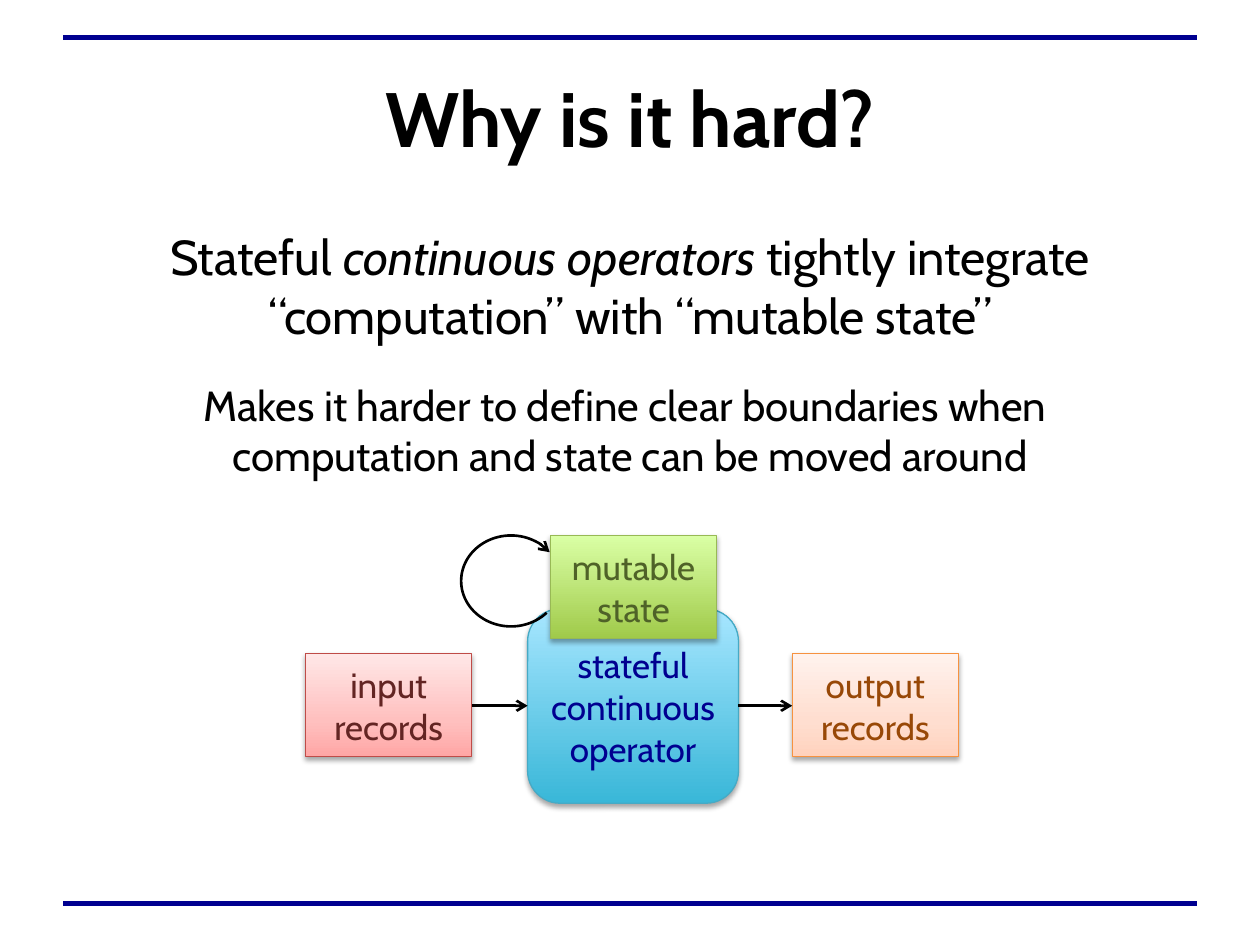
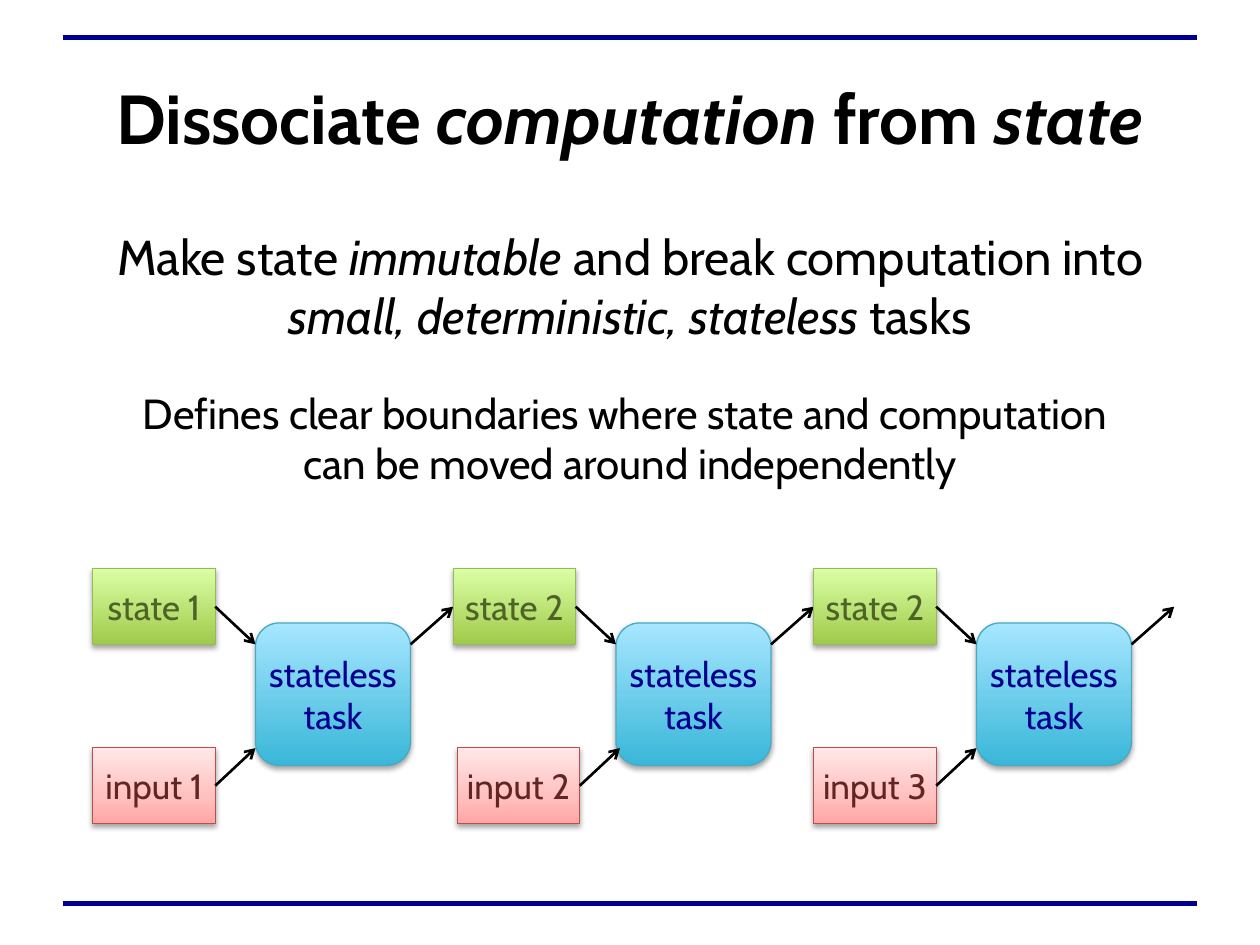
from copy import deepcopy

from lxml import etree
from pptx import Presentation
from pptx.dml.color import RGBColor
from pptx.enum.shapes import MSO_CONNECTOR, MSO_SHAPE
from pptx.enum.text import MSO_ANCHOR, PP_ALIGN
from pptx.oxml.ns import qn
from pptx.util import Pt

BLACK = RGBColor(0x00, 0x00, 0x00)
NAVY = RGBColor(0x00, 0x00, 0x90)
DARK_GREEN = RGBColor(0x4F, 0x62, 0x28)
DARK_RED = RGBColor(0x63, 0x25, 0x23)
BROWN = RGBColor(0x98, 0x48, 0x07)
BLUE_EDGE = RGBColor(0x46, 0xAA, 0xC5)
GREEN_EDGE = RGBColor(0x98, 0xB9, 0x55)
RED_EDGE = RGBColor(0xBF, 0x4C, 0x48)
ORANGE_EDGE = RGBColor(0xF6, 0x92, 0x40)

# Gradients run from bottom to top
BLUE_STOPS = [(0, RGBColor(0x39, 0xB7, 0xD8)), (1, RGBColor(0xA7, 0xE6, 0xFF))]
GREEN_STOPS = [(0, RGBColor(0xA0, 0xCA, 0x4A)), (1, RGBColor(0xDA, 0xFF, 0xA5))]
RED_STOPS = [(0, RGBColor(0xFF, 0xA6, 0xA5)), (0.35, RGBColor(0xFF, 0xC0, 0xBF)),
             (1, RGBColor(0xFF, 0xE7, 0xE7))]
ORANGE_STOPS = [(0, RGBColor(0xFF, 0xD2, 0xBD)), (0.35, RGBColor(0xFF, 0xDE, 0xD0)),
                (1, RGBColor(0xFF, 0xF2, 0xED))]

# Box kinds: shape, gradient, edge colour, text colour
OPERATOR = (MSO_SHAPE.ROUNDED_RECTANGLE, BLUE_STOPS, BLUE_EDGE, NAVY)
STATE = (MSO_SHAPE.RECTANGLE, GREEN_STOPS, GREEN_EDGE, DARK_GREEN)
INPUT = (MSO_SHAPE.RECTANGLE, RED_STOPS, RED_EDGE, DARK_RED)
OUTPUT = (MSO_SHAPE.RECTANGLE, ORANGE_STOPS, ORANGE_EDGE, BROWN)


class Deck:
    font = "Cabin"
    margin, content_width = 36, 648

    def __init__(self):
        self.prs = Presentation()
        self.prs.slide_width, self.prs.slide_height = Pt(720), Pt(540)

    def new_slide(self, title, title_size):
        self.s = self.prs.slides.add_slide(self.prs.slide_layouts[6])
        for y in (21.6, 516.24):
            self.line(self.margin, y, self.margin + self.content_width, y, NAVY, 3)
        tf = self.text_box(21.6, 90)
        tf.vertical_anchor = MSO_ANCHOR.MIDDLE
        self.paragraph(tf.paragraphs[0], title, title_size, bold=True)

    def text_box(self, y, h):
        sp = self.s.shapes.add_textbox(Pt(self.margin), Pt(y), Pt(self.content_width), Pt(h))
        sp.text_frame.word_wrap = True
        return sp.text_frame

    def paragraph(self, p, text, size, color=BLACK, bold=False):
        """Write one centred paragraph; *stars* enclose italics."""
        p.alignment = PP_ALIGN.CENTER
        p.font.name, p.font.size, p.font.bold = self.font, Pt(size), bold
        p.font.color.rgb = color
        for i, part in enumerate(text.split("*")):
            if part:
                r = p.add_run()
                r.text = part
                if i % 2:
                    r.font.italic = True

    def body(self, statement, details, gap):
        tf = self.text_box(126, 356.4)
        self.paragraph(tf.paragraphs[0], statement, 28)
        for i, detail in enumerate(details):
            p = tf.add_paragraph()
            p.space_before = Pt(0 if i else gap)
            self.paragraph(p, detail, 24)

    def box(self, kind, text, x, y, w, h):
        preset, stops, edge, color = kind
        sp = self.s.shapes.add_shape(preset, Pt(x), Pt(y), Pt(w), Pt(h))
        self.gradient(sp, stops)
        sp.line.color.rgb, sp.line.width = edge, Pt(0.75)
        self.drop_shadow(sp)
        tf = sp.text_frame
        tf.word_wrap, tf.vertical_anchor = True, MSO_ANCHOR.MIDDLE
        tf.margin_left = tf.margin_right = 0
        for i, line in enumerate(text.split("\n")):
            self.paragraph(tf.add_paragraph() if i else tf.paragraphs[0], line, 20, color)

    def gradient(self, sp, stops):
        sp.fill.gradient()
        sp.fill.gradient_angle = 90
        gs_lst = sp.element.spPr.find(".//" + qn("a:gsLst"))
        while len(gs_lst) < len(stops):
            gs_lst.append(deepcopy(gs_lst[0]))
        for stop, (position, color) in zip(sp.fill.gradient_stops, stops):
            stop.position, stop.color.rgb = position, color

    def drop_shadow(self, sp):
        sp.shadow.inherit = False
        effects = sp.element.spPr.find(qn("a:effectLst"))
        shadow = etree.SubElement(effects, qn("a:outerShdw"), blurRad=str(Pt(3.1)),
                                  dist=str(Pt(1.8)), dir="5400000", rotWithShape="0")
        color = etree.SubElement(shadow, qn("a:srgbClr"), val=str(BLACK))
        etree.SubElement(color, qn("a:alpha"), val="35000")

    def line(self, x1, y1, x2, y2, color=BLACK, width=1.5):
        c = self.s.shapes.add_connector(MSO_CONNECTOR.STRAIGHT, Pt(x1), Pt(y1), Pt(x2), Pt(y2))
        c.line.color.rgb, c.line.width = color, Pt(width)
        etree.SubElement(c.element.spPr, qn("a:effectLst"))
        return c

    def arrow_end(self, sp):
        etree.SubElement(sp.element.spPr.find(qn("a:ln")), qn("a:tailEnd"), type="arrow")

    def arrow(self, *ends):
        self.arrow_end(self.line(*ends))

    def loop_arrow(self, x, y, w, h):
        sp = self.s.shapes.add_shape(MSO_SHAPE.ARC, Pt(x), Pt(y), Pt(w), Pt(h))
        sp.adjustments[0], sp.adjustments[1] = 25.04, 194.06
        sp.fill.background()
        sp.line.color.rgb, sp.line.width = BLACK, Pt(1.5)
        sp.shadow.inherit = False
        self.arrow_end(sp)


def stateful_slide(deck):
    deck.new_slide("Why is it hard?", 44)
    deck.body("Stateful *continuous operators* tightly integrate “computation” with “mutable state”",
              ["Makes it harder to define clear boundaries when ",
               "computation and state can be moved around"], 20)
    # Records flow through an operator that updates its own state
    w, h, records_y, flow_y = 95, 59, 373.5, 403.3
    deck.box(OPERATOR, "stateful\ncontinuous operator", 301.5, 348, 120.5, 111)
    deck.box(STATE, "mutable state", 314.5, 306, w, h)
    deck.box(INPUT, "input\nrecords", 174.6, records_y, w, h)
    deck.box(OUTPUT, "output\nrecords", 452.7, records_y, w, h)
    deck.arrow(269.6, flow_y, 301.5, flow_y)
    deck.arrow(422, flow_y, 452.7, flow_y)
    deck.loop_arrow(263.5, 306, 57, 52)


def stateless_slide(deck):
    deck.new_slide("Dissociate *computation* from *state*", 39.6)
    deck.body("Make state *immutable *and break computation into *small, deterministic, stateless *tasks",
              ["Defines clear boundaries where state and computation ",
               "can be moved around independently"], 24.6)
    # Each stage turns a state and an input into the next state
    left, pitch, task_dx = 53, 206, 93
    w, h, task_w, task_h = 70, 43.4, 88.6, 81.4
    state_y, task_y, input_y = 325, 356, 427.3
    join_top, join_bottom = 368.2, 427.5
    stages = [("state 1", "input 1", 0), ("state 2", "input 2", 2.3), ("state 2", "input 3", 0)]
    for i, (state, record, shift) in enumerate(stages):
        x = left + i * pitch
        task_x = x + task_dx
        deck.box(STATE, state, x, state_y, w, h)
        deck.box(INPUT, record, x + shift, input_y, w, h)
        deck.box(OPERATOR, "stateless task", task_x, task_y, task_w, task_h)
        deck.arrow(x + w, state_y + h / 2, task_x, join_top)
        deck.arrow(x + shift + w, input_y + h / 2, task_x + shift, join_bottom)
        deck.arrow(task_x + task_w, join_top, x + pitch, state_y + h / 2)


def main():
    deck = Deck()
    stateful_slide(deck)
    stateless_slide(deck)
    deck.prs.save("out.pptx")


if __name__ == "__main__":
    main()
